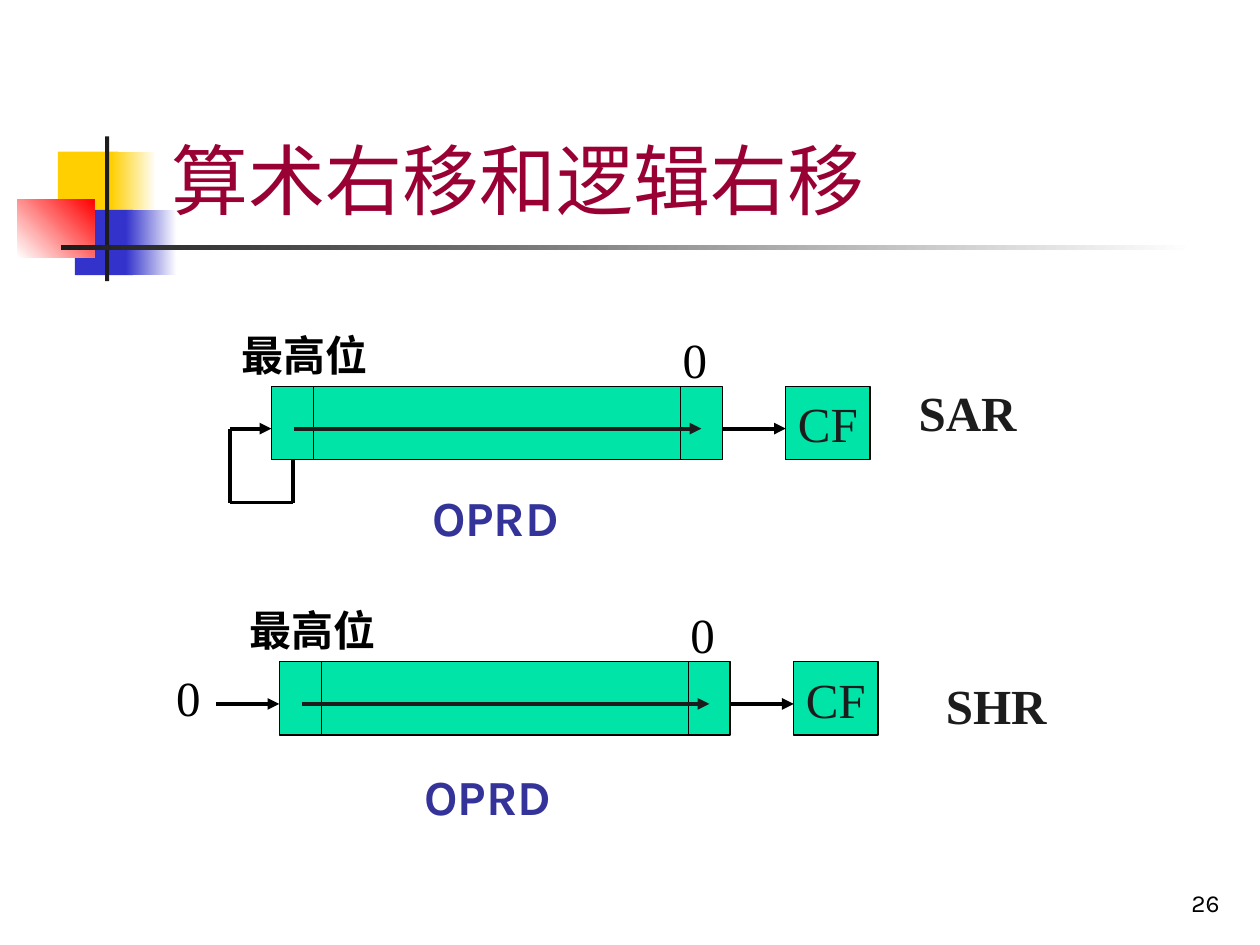
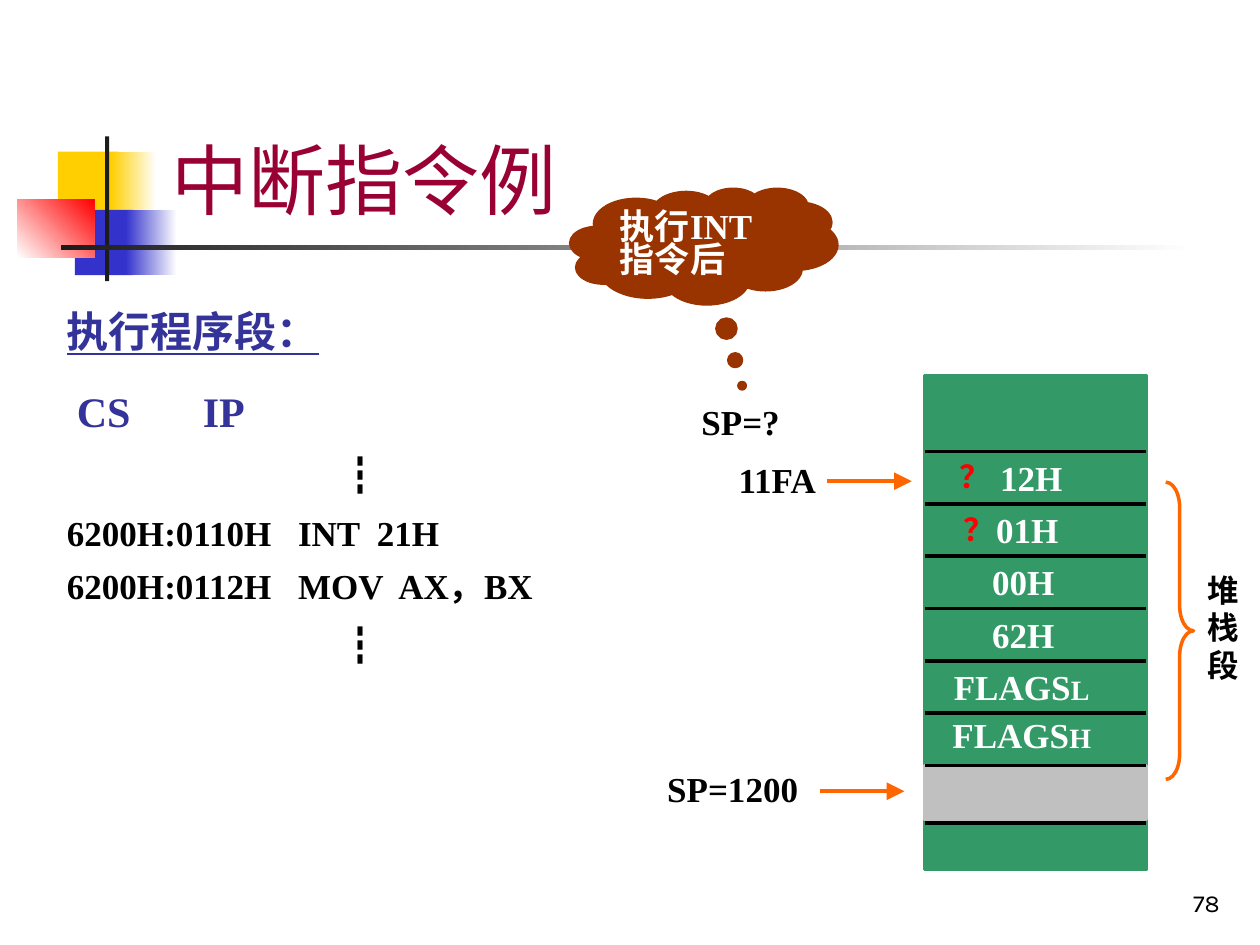
from lxml import etree
from pptx import Presentation
from pptx.dml.color import RGBColor
from pptx.enum import shapes, text
from pptx.oxml.ns import qn
from pptx.util import Cm, Pt

WHITE = RGBColor(0xFF, 0xFF, 0xFF)
BLACK = RGBColor(0, 0, 0)
INK = RGBColor(0x1C, 0x1C, 0x1C)
GOLD = RGBColor(0xFF, 0xCF, 0x01)
BLUE = RGBColor(0x33, 0x33, 0xCC)
RED = RGBColor(0xFF, 0, 0)
WINE = RGBColor(0x99, 0, 0x33)
NAVY = RGBColor(0x33, 0x33, 0x99)
MINT = RGBColor(0, 0xE4, 0xA8)
GREEN = RGBColor(0x33, 0x99, 0x66)
GREY = RGBColor(0xC0, 0xC0, 0xC0)
BROWN = RGBColor(0x99, 0x33, 0)
ORANGE = RGBColor(0xFF, 0x66, 0)

SERIF, SANS, HAN = "Times New Roman", "Karla", "Noto Sans CJK SC"
LEFT, MID, RIGHT = text.PP_ALIGN.LEFT, text.PP_ALIGN.CENTER, text.PP_ALIGN.RIGHT
TOP, CENTRE, BOTTOM = (text.MSO_ANCHOR.TOP, text.MSO_ANCHOR.MIDDLE,
                       text.MSO_ANCHOR.BOTTOM)
RECT = shapes.MSO_SHAPE.RECTANGLE


class Deck:
    """Holds the style and the current slide; all lengths are in centimetres."""

    def __init__(self):
        self.prs = Presentation()
        self.prs.slide_width, self.prs.slide_height = Cm(25.4), Cm(19.05)

    def start(self, title, number):
        """Add a slide with the shared ornament, title and page number."""
        self.slide = self.prs.slides.add_slide(self.prs.slide_layouts[6])
        self.box(1.17, 3.06, 1.22, 1.32, GOLD)
        self.fade(2.24, 3.06, 0.91, 1.32, GOLD, WHITE)
        self.box(1.51, 4.23, 1.17, 1.32, BLUE)
        self.fade(2.54, 4.23, 1.02, 1.32, BLUE, WHITE)
        self.fade(0.35, 4.02, 1.55, 1.17, WHITE, RED, 45)
        self.box(2.12, 2.75, 0.08, 2.92, INK)
        self.fade(1.23, 4.94, 22.86, 0.1, INK, WHITE)
        self.label(19.56, 17.35, 5.28, 1.27, number, 14, BLACK, SANS,
                   bold=False, align=RIGHT, anchor=BOTTOM)
        self.label(3.2, 0.6, 21.64, 4.06, title, 44, WINE, SANS,
                   bold=False, anchor=BOTTOM)

    def box(self, x, y, w, h, fill=None, edge=None, width=0.75, kind=RECT):
        shape = self.slide.shapes.add_shape(kind, Cm(x), Cm(y), Cm(w), Cm(h))
        shape.shadow.inherit = False
        if fill is None:
            shape.fill.background()
        else:
            shape.fill.solid()
            shape.fill.fore_color.rgb = fill
        if edge is None:
            shape.line.fill.background()
        else:
            shape.line.color.rgb = edge
            shape.line.width = Pt(width)
        return shape

    def fade(self, x, y, w, h, first, last, angle=0):
        fill = self.box(x, y, w, h).fill
        fill.gradient()
        fill.gradient_angle = angle
        for stop, color in zip(fill.gradient_stops, (first, last)):
            stop.color.rgb = color

    def line(self, x1, y1, x2, y2, color=BLACK, width=2.25, head=None):
        """Draw a line; head is the arrowhead size, "med" or "lg"."""
        line = self.slide.shapes.add_connector(
            shapes.MSO_CONNECTOR.STRAIGHT, Cm(x1), Cm(y1), Cm(x2), Cm(y2))
        line.line.color.rgb = color
        line.line.width = Pt(width)
        props = line._element.spPr
        if head:
            etree.SubElement(props.find(qn("a:ln")), qn("a:tailEnd"),
                             type="triangle", w=head, len=head)
        etree.SubElement(props, qn("a:effectLst"))

    def style(self, para, size, color, face=SERIF, bold=True, align=LEFT):
        para.alignment = align
        font = para.font
        font.size, font.bold, font.name = Pt(size), bold, face
        font.color.rgb = color
        etree.SubElement(para._p.pPr.find(qn("a:defRPr")), qn("a:ea"),
                         typeface=HAN)

    def frame(self, x, y, w, h, anchor=TOP):
        frame = self.slide.shapes.add_textbox(
            Cm(x), Cm(y), Cm(w), Cm(h)).text_frame
        frame.word_wrap, frame.vertical_anchor = True, anchor
        return frame

    def label(self, x, y, w, h, words, size, color=BLACK, face=SERIF,
              bold=True, align=LEFT, anchor=TOP):
        para = self.frame(x, y, w, h, anchor).paragraphs[0]
        para.add_run().text = words
        self.style(para, size, color, face, bold, align)
        return para

    def tabs(self, para, stops):
        tabs = etree.SubElement(para._p.get_or_add_pPr(), qn("a:tabLst"))
        for stop in stops:
            etree.SubElement(tabs, qn("a:tab"), pos=str(Cm(stop)), algn="l")

    def shift(self, x, y):
        """Draw a register shifted right into the carry flag."""
        mid = y + 0.85
        self.box(x, y, 9.09, 1.48, MINT, BLACK)
        for edge in (0.85, 8.25):
            self.line(x + edge, y, x + edge, y + 1.48, width=0.75)
        self.line(x + 0.45, mid, x + 8.67, mid, INK, head="med")
        self.label(x + 8.04, y - 1.27, 1.27, 1.45, "0", 28, bold=False)
        self.label(x - 0.85, y - 1.27, 3.38, 1.27, "最高位", 24)
        flag = self.box(x + 10.37, y, 1.7, 1.48, MINT, BLACK).text_frame
        flag.word_wrap, flag.vertical_anchor = False, CENTRE
        flag.paragraphs[0].add_run().text = "CF"
        self.style(flag.paragraphs[0], 28, INK, bold=False, align=MID)
        self.line(x + 9.09, mid, x + 10.37, mid, head="med")


def shifts(deck):
    deck.start("算术右移和逻辑右移", "26")

    # Logical shift: a zero enters from the left
    deck.shift(5.63, 13.34)
    deck.line(4.36, 14.19, 5.63, 14.19, head="med")
    deck.label(3.3, 13.34, 1.27, 1.45, "0", 28, bold=False)

    # Arithmetic shift: the top bit feeds itself
    deck.shift(5.47, 7.79)
    loop = [(5.9, 9.27), (5.9, 10.13), (4.63, 10.13), (4.63, 8.64),
            (5.47, 8.64)]
    for start, end in zip(loop, loop[1:]):
        deck.line(*start, *end, head="med" if end == loop[-1] else None)

    # Names of the instructions and operands
    for x, y, name in ((18.82, 13.49, "SHR"), (18.27, 7.59, "SAR")):
        deck.label(x, y, 3.2, 1.45, name, 28, INK)
    for x, y in ((8.31, 15.32), (8.46, 9.7)):
        deck.label(x, y, 3.8, 1.45, "OPRD", 28, NAVY, SANS)


def program(deck):
    """List the program segment: words, size, colour, space after, tab stops."""
    rows = [
        ("执行程序段：", 24, NAVY, 10.8, ()),
        ("\tCS\tIP", 24, NAVY, 1.2, (0.2, 2.74)),
        ("\t┇", 24, BLACK, 1.2, (5.5,)),
        ("6200H:0110H\tINT\t21H", 20, BLACK, 1, (4.66, 6.25)),
        ("6200H:0112H\tMOV\tAX，BX", 20, BLACK, 1, (4.66, 6.68)),
        ("\t┇", 24, BLACK, 1.2, (5.5,)),
    ]
    frame = deck.frame(1.1, 5.93, 10.41, 9.22)
    for i, (words, size, color, after, stops) in enumerate(rows):
        para = frame.add_paragraph() if i else frame.paragraphs[0]
        run = para.add_run()
        run.text = words
        para.line_spacing = 1.1
        para.space_before = Pt(size * 0.15 if i else 0)
        para.space_after = Pt(after)
        if stops:
            deck.tabs(para, stops)
        deck.style(para, size, color, HAN if "┇" in words else SERIF)
        if not i:
            run.font.underline = True


def stack(deck):
    x, w, top, step = 18.64, 4.46, 9.1, 1.055
    deck.box(x, 7.57, w, 9.96, GREEN, GREEN, 2)
    deck.box(x, 15.44, w, 1.07, GREY, GREY, 2)
    for y in [top + i * step for i in range(7)] + [16.59]:
        deck.line(x, y, x + w, y, width=2)

    # Contents of the stack cells
    cells = [("12H", "", 19.91, 9.07), ("01H", "", 19.83, 10.12),
             ("00H", "", 19.75, 11.18), ("62H", "", 19.75, 12.25),
             ("FLAGS", "L", 18.98, 13.29), ("FLAGS", "H", 18.95, 14.25)]
    for word, half, left, y in cells:
        para = deck.label(left, y, 4.02 if half else 2.97, 1.09,
                          word, 20, WHITE)
        if half:
            run = para.add_run()
            run.text, run.font.size = half, Pt(16)
    for left, y in ((19.1, 9.09), (19.18, 10.16)):
        deck.label(left, y, 0.81, 1.02, "？", 18, RED, "Arial")

    # Stack pointers
    for left, y, width, words in ((13.2, 15.34, 3.94, "SP=1200"),
                                  (13.89, 7.95, 2.39, "SP=?"),
                                  (14.64, 9.12, 2.18, "11FA")):
        deck.label(left, y, width, 1.09, words, 20)
    for left, y in ((16.53, 15.95), (16.68, 9.7)):
        deck.line(left, y, left + 1.7, y, ORANGE, 2, "lg")

    # Brace over the segment
    brace = deck.box(23.5, 9.72, 0.56, 5.99, None, ORANGE, 2,
                     shapes.MSO_SHAPE.LEFT_BRACE)
    brace.rotation = 180
    brace.adjustments[0], brace.adjustments[1] = 0.907, 0.5
    deck.label(24.03, 11.38, 1.27, 2.54, "堆栈段", 18, align=MID)


def interrupt(deck):
    deck.start("中断指令例", "78")
    program(deck)
    stack(deck)

    # Thought cloud
    cloud = deck.box(11.51, 3.81, 5.36, 2.31, BROWN, BROWN, 2,
                     shapes.MSO_SHAPE.CLOUD_CALLOUT)
    cloud.adjustments[0], cloud.adjustments[1] = 0.144, 1.217
    frame = cloud.text_frame
    frame.word_wrap, frame.vertical_anchor = True, TOP
    para = frame.paragraphs[0]
    para.add_run().text = "执行INT指令后"
    para.line_spacing = 0.8
    deck.style(para, 20, WHITE)


def main():
    deck = Deck()
    shifts(deck)
    interrupt(deck)
    deck.prs.save("out.pptx")


if __name__ == "__main__":
    main()
